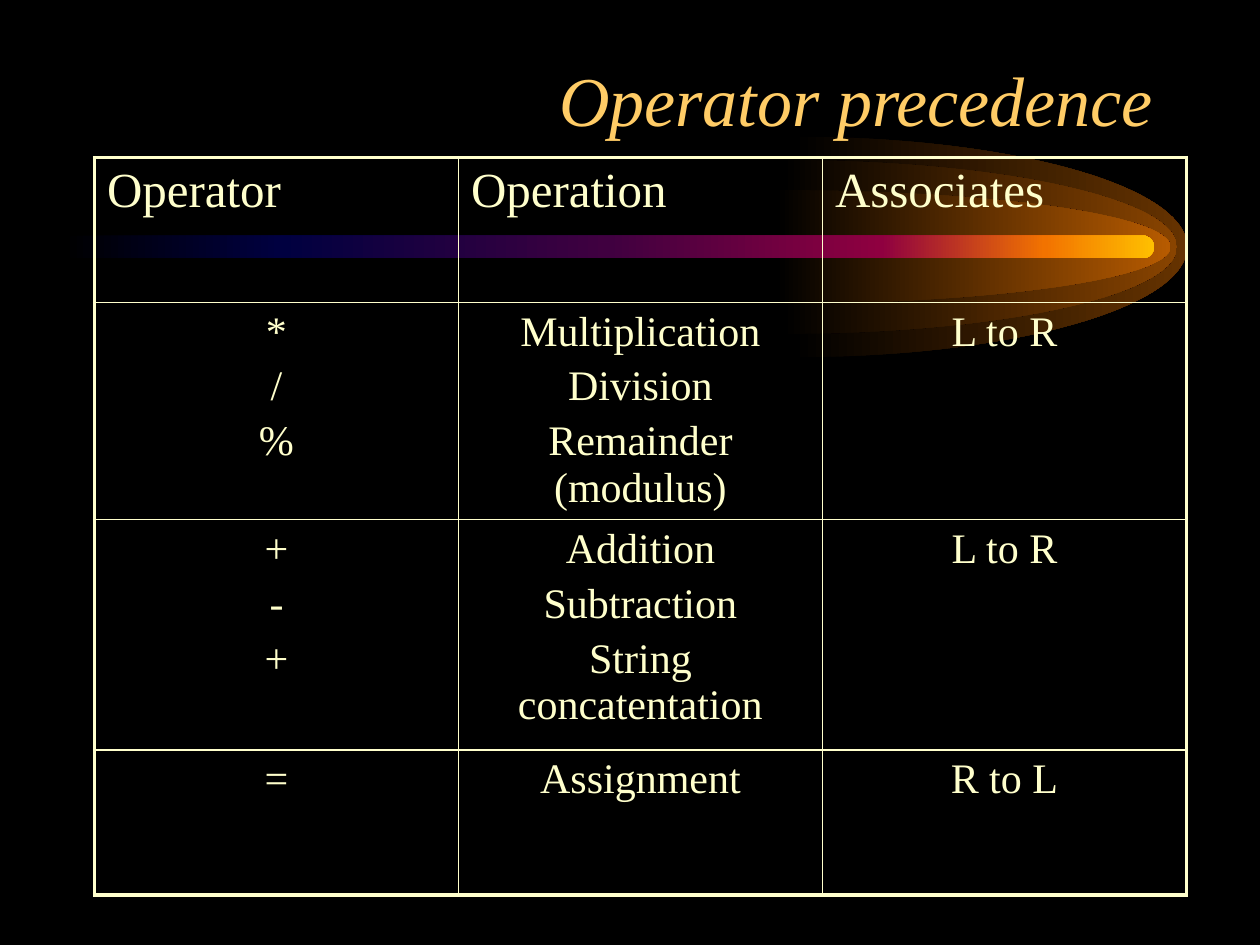
import lxml.etree
import pptx
import pptx.dml.color
import pptx.enum.shapes
import pptx.enum.text
import pptx.oxml.ns
import pptx.util

Pt = pptx.util.Pt
ALIGN = pptx.enum.text.PP_ALIGN
CURVE = 0.5523  # handle length of a quarter ellipse, per radius
qualify = pptx.oxml.ns.qn


def color(value):
    """Turn a hex string into a colour."""
    return pptx.dml.color.RGBColor.from_string(value)


def add_color(parent, value):
    """Add a hex colour element to an XML parent."""
    lxml.etree.SubElement(parent, qualify("a:srgbClr")).set("val", value)


class Slide:
    """Holds the style and the current slide."""

    font = "Times New Roman"
    ink = "FFFFCC"
    accent = "FFCC66"
    thin, thick = 1, 2.25

    def __init__(self, deck):
        """Start a title-only page on black."""
        self.page = deck.slides.add_slide(deck.slide_layouts[5])
        self.page.background.fill.solid()
        self.page.background.fill.fore_color.rgb = color("000000")

    def style(self, para, size, ink, align):
        """Set the font and alignment of a paragraph."""
        para.font.name = self.font
        para.font.size = Pt(size)
        para.font.color.rgb = color(ink)
        para.alignment = align

    def gradient(self, shape, stops):
        """Fill a shape from left to right with (percent, colour) stops."""
        shape.shadow.inherit = False
        shape.line.fill.background()
        shape.fill.gradient()
        shape.fill.gradient_angle = 0
        stop_list = next(shape._element.spPr.iter(qualify("a:gsLst")))
        for old in list(stop_list):
            stop_list.remove(old)
        for percent, value in stops:
            stop = lxml.etree.SubElement(stop_list, qualify("a:gs"))
            stop.set("pos", str(percent * 1000))
            add_color(stop, value)

    def half_ellipse(self, left, middle, width, radius, glow):
        """Draw the right half of an ellipse, fading in from black."""
        builder = self.page.shapes.build_freeform(
            Pt(left), Pt(middle - radius), scale=1.0)
        builder.add_line_segments([(Pt(left + width), Pt(middle)),
                                   (Pt(left), Pt(middle + radius))], close=True)
        shape = builder.convert_to_shape()
        handles = [
            [(width * CURVE, 0), (width, radius * (1 - CURVE))],
            [(width, radius * (1 + CURVE)), (width * CURVE, 2 * radius)]]
        lines = list(shape._element.spPr.iter(qualify("a:lnTo")))
        for line, pair in zip(lines, handles):
            line.tag = qualify("a:cubicBezTo")
            for index, (x, y) in enumerate(pair):
                point = lxml.etree.Element(qualify("a:pt"))
                point.set("x", str(Pt(x)))
                point.set("y", str(Pt(y)))
                line.insert(index, point)
        self.gradient(shape, [(0, "000000"), (100, glow)])

    def bar(self, left, top, width, height, stops):
        """Draw a bar with round ends."""
        kind = pptx.enum.shapes.MSO_SHAPE.ROUNDED_RECTANGLE
        shape = self.page.shapes.add_shape(
            kind, Pt(left), Pt(top), Pt(width), Pt(height))
        shape.adjustments[0] = 0.5
        self.gradient(shape, stops)

    def title(self, text, left, top, width, height):
        """Fill the title placeholder and bring it to the front."""
        box = self.page.shapes.title
        box.left, box.top = Pt(left), Pt(top)
        box.width, box.height = Pt(width), Pt(height)
        frame = box.text_frame
        frame.text = text
        frame.vertical_anchor = pptx.enum.text.MSO_ANCHOR.BOTTOM
        frame.auto_size = pptx.enum.text.MSO_AUTO_SIZE.NONE
        self.style(frame.paragraphs[0], 40, self.accent, ALIGN.RIGHT)
        frame.paragraphs[0].font.italic = True
        self.page.shapes._spTree.append(box._element)

    def border(self, cell, side, width):
        """Draw one side of a cell: L, R, T or B."""
        props = cell._tc.get_or_add_tcPr()
        line = lxml.etree.SubElement(props, qualify("a:ln" + side))
        line.set("w", str(Pt(width)))
        add_color(lxml.etree.SubElement(line, qualify("a:solidFill")), self.ink)

    def table(self, rows, left, top, column_width, heights):
        """Add a table with a header row and a thick outer frame."""
        count = len(rows[0])
        table = self.page.shapes.add_table(
            len(rows), count, Pt(left), Pt(top),
            Pt(column_width * count), Pt(sum(heights))).table
        table.first_row = table.horz_banding = False
        for column in table.columns:
            column.width = Pt(column_width)
        for r, (texts, height) in enumerate(zip(rows, heights)):
            table.rows[r].height = Pt(height)
            size, align = (24, ALIGN.CENTER) if r else (28, ALIGN.LEFT)
            for c, text in enumerate(texts):
                cell = table.cell(r, c)
                cell.text = text
                for para in cell.text_frame.paragraphs:
                    self.style(para, size, self.ink, align)
                    para.space_before = Pt(size * 0.2)
                outer = {"L": c == 0, "R": c == count - 1,
                         "T": r == 0, "B": r == len(rows) - 1}
                for side, edge in outer.items():
                    self.border(cell, side, self.thick if edge else self.thin)
                cell.fill.background()


def main():
    """Build the slide and save it."""
    deck = pptx.Presentation()
    deck.slide_width, deck.slide_height = Pt(720), Pt(540)
    slide = Slide(deck)
    for left, radius, glow in [(452.9, 63, "663300"), (447.1, 49.7, "894400"),
                               (443.5, 32.5, "B75B00")]:
        slide.half_ellipse(left, 141.1, 225.4, radius, glow)
    slide.bar(36, 134.6, 623.5, 13,
              [(0, "000000"), (20, "000040"), (50, "400040"),
               (75, "8F0040"), (90, "F27300"), (100, "FFBF00")])
    slide.title("Operator precedence", 54, 30, 612, 54)
    slide.table([
        ["Operator", "Operation", "Associates"],
        ["*\n/\n%", "Multiplication\nDivision\nRemainder (modulus)", "L to R"],
        ["+\n-\n+", "Addition\nSubtraction\nString concatentation", "L to R"],
        ["=", "Assignment", "R to L"],
    ], 54, 90, 208, [82.8, 124.2, 131.6, 82.8])
    deck.save("out.pptx")


main()
